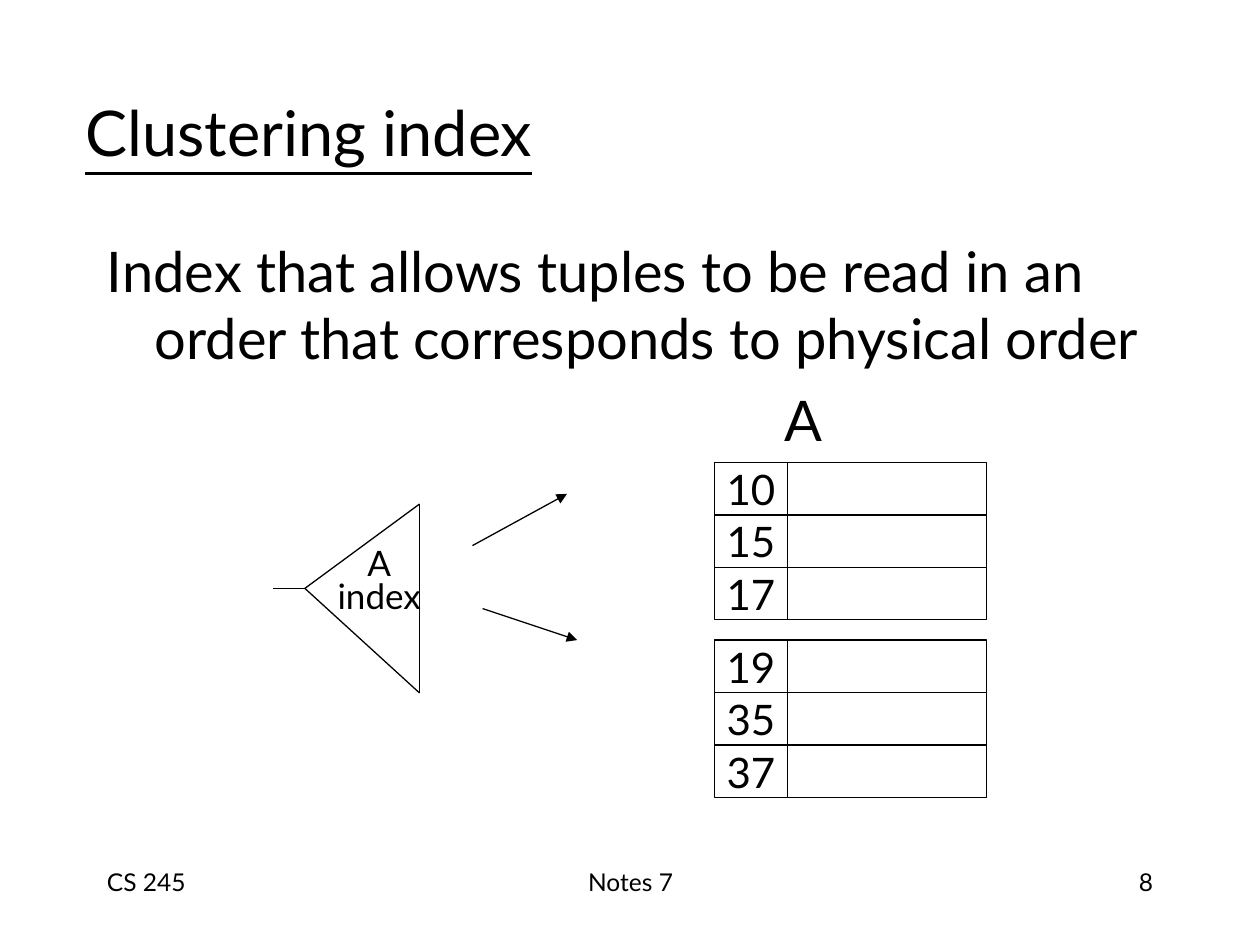
"""Build the clustering index slide."""
import pptx
import pptx.dml.color
import pptx.enum.shapes
import pptx.enum.text
import pptx.oxml
import pptx.oxml.ns
import pptx.util
from pptx.util import Inches

ALIGN = pptx.enum.text.PP_ALIGN
ANCHOR = pptx.enum.text.MSO_ANCHOR

THEME = {
    "font": "Lato",
    "ink": pptx.dml.color.RGBColor(0, 0, 0),
    "paper": pptx.dml.color.RGBColor(255, 255, 255),
    "line": 0.75,
    "title": 36,
    "body": 32,
    "key": 24,
    "label": 20,
    "footer": 14,
}

TITLE = "Clustering index"
BODY = [
    ("Index that allows tuples to be read in an order that corresponds to physical order", 0.38, -0.38),
    ("A", 5.38, 0),
]
INDEX_LABEL = ["A", "index"]
FOOTERS = [
    ("CS 245", 0.75, 2.08, ALIGN.LEFT),
    ("Notes 7", 3.42, 3.17, ALIGN.CENTER),
    ("8", 7.17, 2.08, ALIGN.RIGHT),
]
BLOCKS = [(3.67, ["10", "15", "17"]), (5.08, ["19", "35", "37"])]
KEY_LEFT, KEY_WIDTH, RECORD_WIDTH, ROW_HEIGHT = 5.67, 0.58, 1.58, 5 / 12

APEX, TOP, BOTTOM = (2.42, 4.67), (3.33, 4), (3.33, 5.5)
INDEX_LINES = [(TOP, BOTTOM), (TOP, APEX), (APEX, BOTTOM), (APEX, (2.17, 4.67))]
ARROWS = [((3.75, 4.33), (4.5, 3.92)), ((3.83, 4.83), (4.58, 5.08))]


def style(para, size, align):
    para.alignment = align
    para.font.name = THEME["font"]
    para.font.size = pptx.util.Pt(THEME[size])
    para.font.color.rgb = THEME["ink"]


def add_text(page, place, texts, size, align=ALIGN.LEFT, anchor=ANCHOR.TOP, wrap=True):
    box = page.shapes.add_textbox(*map(Inches, place))
    frame = box.text_frame
    frame.word_wrap = wrap
    frame.vertical_anchor = anchor
    frame.text = "\n".join(texts)
    for para in frame.paragraphs:
        style(para, size, align)
    return frame.paragraphs


def add_line(page, start, end, arrow=False):
    line = page.shapes.add_connector(
        pptx.enum.shapes.MSO_CONNECTOR.STRAIGHT, *map(Inches, start + end))
    line.line.color.rgb = THEME["ink"]
    line.line.width = pptx.util.Pt(THEME["line"])
    if arrow:
        head = pptx.oxml.parse_xml(
            f'<a:tailEnd {pptx.oxml.ns.nsdecls("a")} type="triangle"/>')
        line.line._get_or_add_ln().append(head)
    effects = pptx.oxml.parse_xml(f'<a:effectLst {pptx.oxml.ns.nsdecls("a")}/>')
    line._element.spPr.append(effects)


def add_cell(page, left, top, width, text=""):
    cell = page.shapes.add_shape(
        pptx.enum.shapes.MSO_SHAPE.RECTANGLE, *map(Inches, (left, top, width, ROW_HEIGHT)))
    cell.shadow.inherit = False
    cell.fill.solid()
    cell.fill.fore_color.rgb = THEME["paper"]
    cell.line.color.rgb = THEME["ink"]
    cell.line.width = pptx.util.Pt(THEME["line"])
    if text:
        cell.text_frame.text = text
        cell.text_frame.word_wrap = False
        cell.text_frame.vertical_anchor = ANCHOR.MIDDLE
        style(cell.text_frame.paragraphs[0], "key", ALIGN.CENTER)


def main():
    deck = pptx.Presentation()
    deck.slide_width, deck.slide_height = Inches(10), Inches(7.5)
    page = deck.slides.add_slide(deck.slide_layouts[6])

    for text, left, width, align in FOOTERS:
        add_text(page, (left, 6.83, width, 0.5), [text], "footer", align)

    title = add_text(page, (0.58, 0.42, 8.5, 1.25), [TITLE], "title", anchor=ANCHOR.MIDDLE)
    title[0].font.underline = True

    body = add_text(page, (0.75, 1.83, 8.5, 4.5), [text for text, _, _ in BODY], "body")
    for para, (_, margin, indent) in zip(body, BODY):
        para.space_before = pptx.util.Pt(8)
        properties = para._p.get_or_add_pPr()
        properties.set("marL", str(Inches(margin)))
        properties.set("indent", str(Inches(indent)))

    for start, end in INDEX_LINES:
        add_line(page, start, end)
    for start, end in ARROWS:
        add_line(page, start, end, arrow=True)

    label = add_text(page, (2.55, 4.25, 0.92, 0.64), INDEX_LABEL, "label",
                     ALIGN.CENTER, ANCHOR.MIDDLE, wrap=False)
    for para in label:
        para.space_before = pptx.util.Pt(12.5)
    label[1].line_spacing = 0.1

    for block_top, keys in BLOCKS:
        for row, key in enumerate(keys):
            top = block_top + row * ROW_HEIGHT
            add_cell(page, KEY_LEFT, top, KEY_WIDTH, key)
            add_cell(page, KEY_LEFT + KEY_WIDTH, top, RECORD_WIDTH)

    deck.save("out.pptx")


if __name__ == "__main__":
    main()
